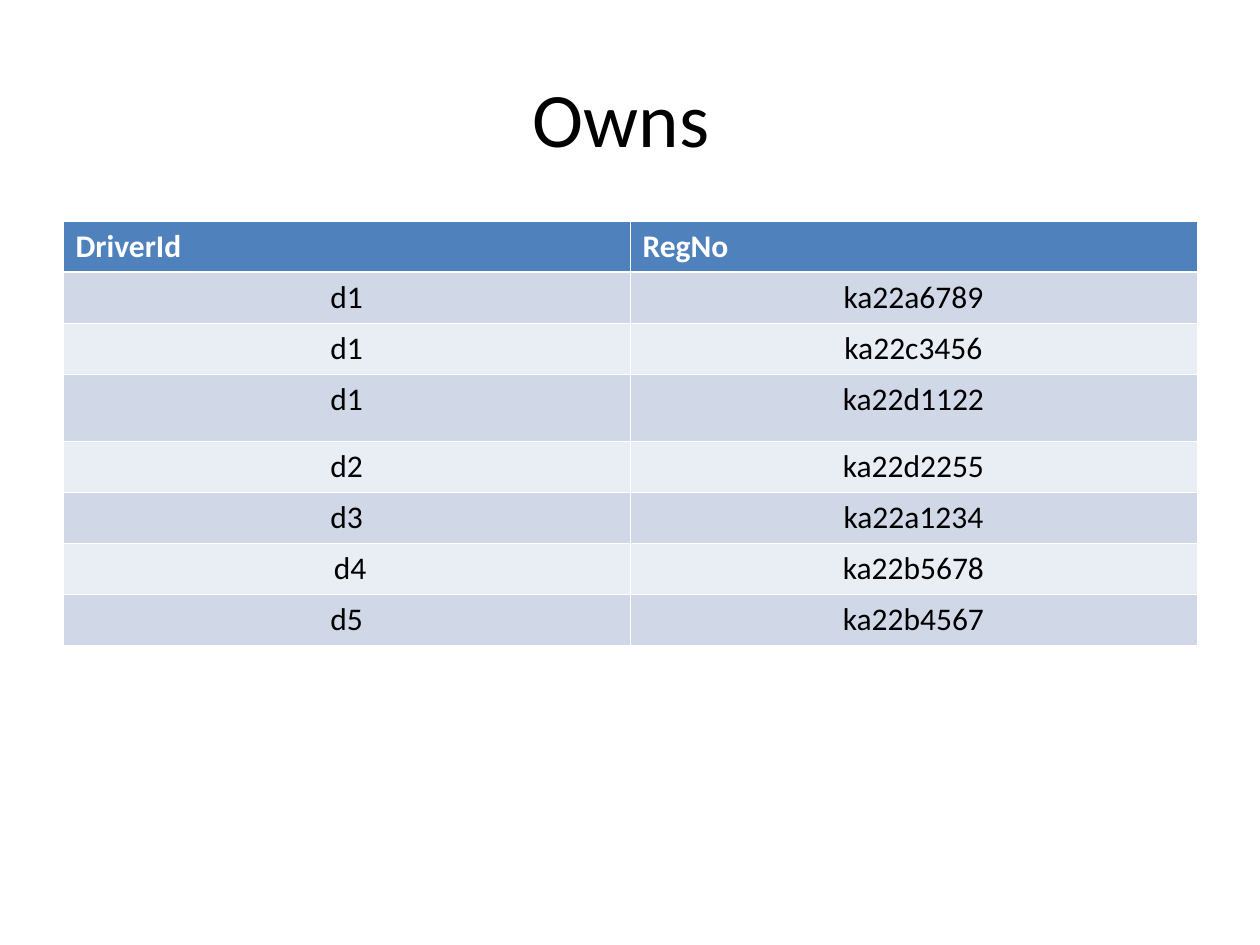
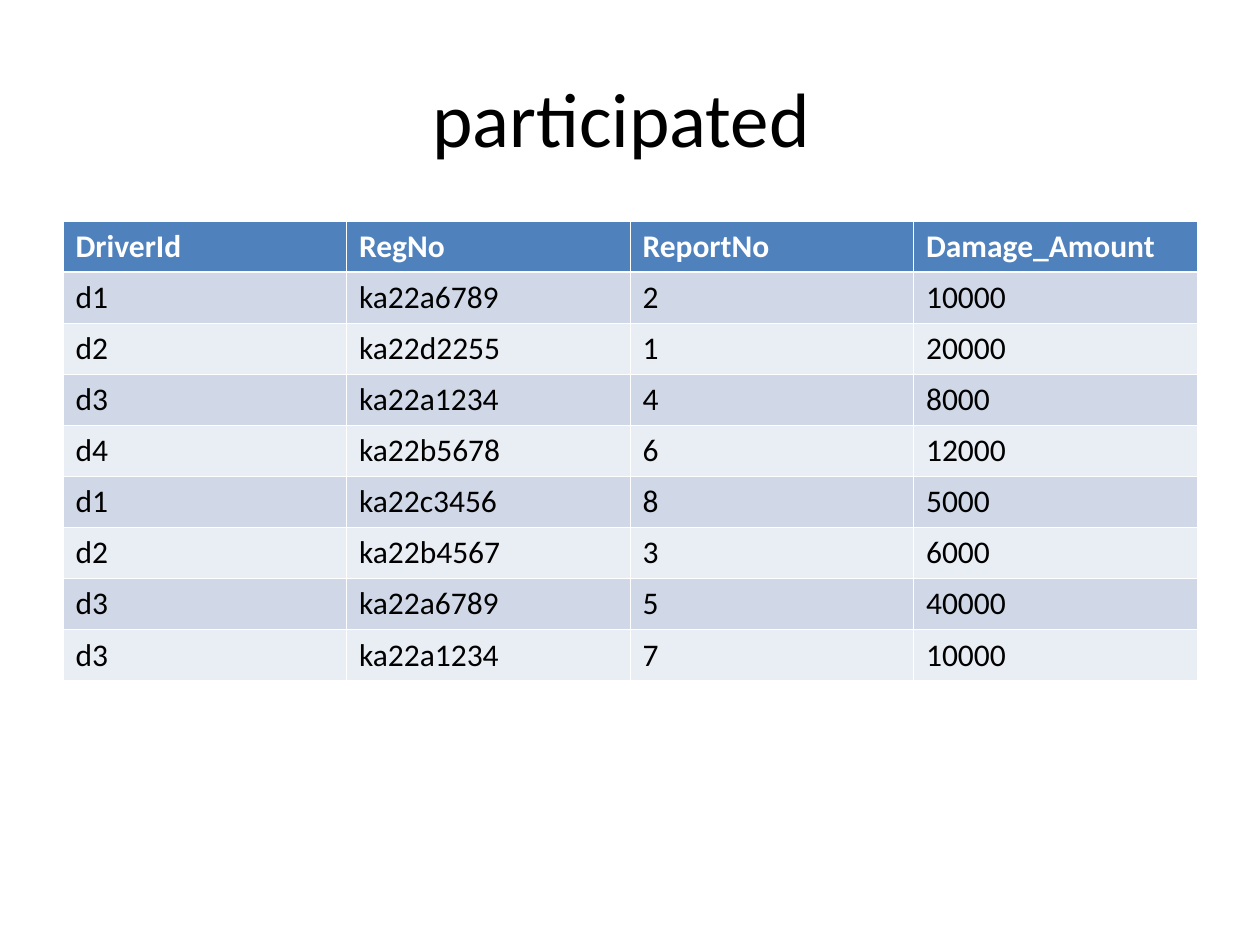
from dataclasses import dataclass

from lxml import etree
from pptx import Presentation
from pptx.dml.color import RGBColor
from pptx.enum.text import MSO_ANCHOR, PP_ALIGN
from pptx.oxml.ns import qn
from pptx.util import Inches, Pt

LEFT, CENTER = PP_ALIGN.LEFT, PP_ALIGN.CENTER
MIDDLE = MSO_ANCHOR.MIDDLE
PX_PER_INCH = 126
TITLE_ONLY = 5


@dataclass(frozen=True)
class Theme:
    font: str = "Calibri"
    title_size: int = 44
    cell_size: int = 18
    text: str = "000000"
    header_text: str = "FFFFFF"
    header_fill: str = "4F81BD"
    bands: tuple = ("D0D8E8", "E9EDF4")
    rule: str = "FFFFFF"
    thin: float = 0.45
    thick: float = 1.47


def px(n):
    return Inches(n / PX_PER_INCH)


class Deck:
    """Holds the style and the current slide, and adds elements to it."""

    def __init__(self, theme):
        self.theme = theme
        self.prs = Presentation()
        self.prs.slide_width, self.prs.slide_height = px(1260), px(945)
        self.s = None

    def new_slide(self, title):
        self.s = self.prs.slides.add_slide(self.prs.slide_layouts[TITLE_ONLY])
        sp = self.s.shapes.title
        sp.left, sp.top, sp.width, sp.height = map(px, (63, 38, 1134, 157))
        tf = sp.text_frame
        tf.vertical_anchor = MIDDLE
        tf.text = title
        self.style(tf.paragraphs[0], self.theme.title_size, self.theme.text, CENTER)

    def style(self, p, size, color, align, bold=False):
        p.alignment = align
        p.font.name = self.theme.font
        p.font.size = Pt(size)
        p.font.bold = bold
        p.font.color.rgb = RGBColor.from_string(color)

    def borders(self, cell, top, bottom):
        tcPr = cell._tc.get_or_add_tcPr()
        widths = {"a:lnL": self.theme.thin, "a:lnR": self.theme.thin,
                  "a:lnT": top, "a:lnB": bottom}
        for i, (tag, width) in enumerate(widths.items()):
            ln = etree.Element(qn(tag), w=str(Pt(width)))
            fill = etree.SubElement(ln, qn("a:solidFill"))
            etree.SubElement(fill, qn("a:srgbClr"), val=self.theme.rule)
            tcPr.insert(i, ln)

    def table(self, rows, align=LEFT, row_height=51, tall_rows=None):
        t = self.theme
        heights = [(tall_rows or {}).get(i, row_height) for i in range(len(rows))]
        n_cols = len(rows[0])
        table = self.s.shapes.add_table(
            len(rows), n_cols, px(63), px(221), px(1134), px(sum(heights))).table
        for col in table.columns:
            col.width = px(1134 / n_cols)
        for i, (row, values) in enumerate(zip(table.rows, rows)):
            row.height = px(heights[i])
            header = i == 0
            fill = t.header_fill if header else t.bands[(i - 1) % 2]
            for cell, value in zip(row.cells, values):
                cell.text = value
                cell.fill.solid()
                cell.fill.fore_color.rgb = RGBColor.from_string(fill)
                self.style(cell.text_frame.paragraphs[0], t.cell_size,
                           t.header_text if header else t.text,
                           LEFT if header else align, header)
                self.borders(cell, t.thick if i == 1 else t.thin,
                             t.thick if header else t.thin)


OWNS = [
    ("DriverId", "RegNo"),
    ("d1", "ka22a6789"),
    ("d1", "ka22c3456"),
    ("d1", "ka22d1122"),
    ("d2", "ka22d2255"),
    ("d3", "ka22a1234"),
    (" d4", "ka22b5678"),
    ("d5", "ka22b4567"),
]

PARTICIPATED = [
    ("DriverId", "RegNo", "ReportNo", "Damage_Amount"),
    ("d1", "ka22a6789", "2", "10000"),
    ("d2", "ka22d2255", "1", "20000"),
    ("d3", "ka22a1234", "4", "8000"),
    ("d4", "ka22b5678", "6", "12000"),
    ("d1", "ka22c3456", "8", "5000"),
    ("d2", "ka22b4567", "3", "6000"),
    ("d3", "ka22a6789", "5", "40000"),
    ("d3", "ka22a1234", "7", "10000"),
]


def main():
    deck = Deck(Theme())
    deck.new_slide("Owns ")
    deck.table(OWNS, CENTER, tall_rows={3: 67})
    deck.new_slide("participated ")
    deck.table(PARTICIPATED)
    deck.prs.save("out.pptx")


if __name__ == "__main__":
    main()
